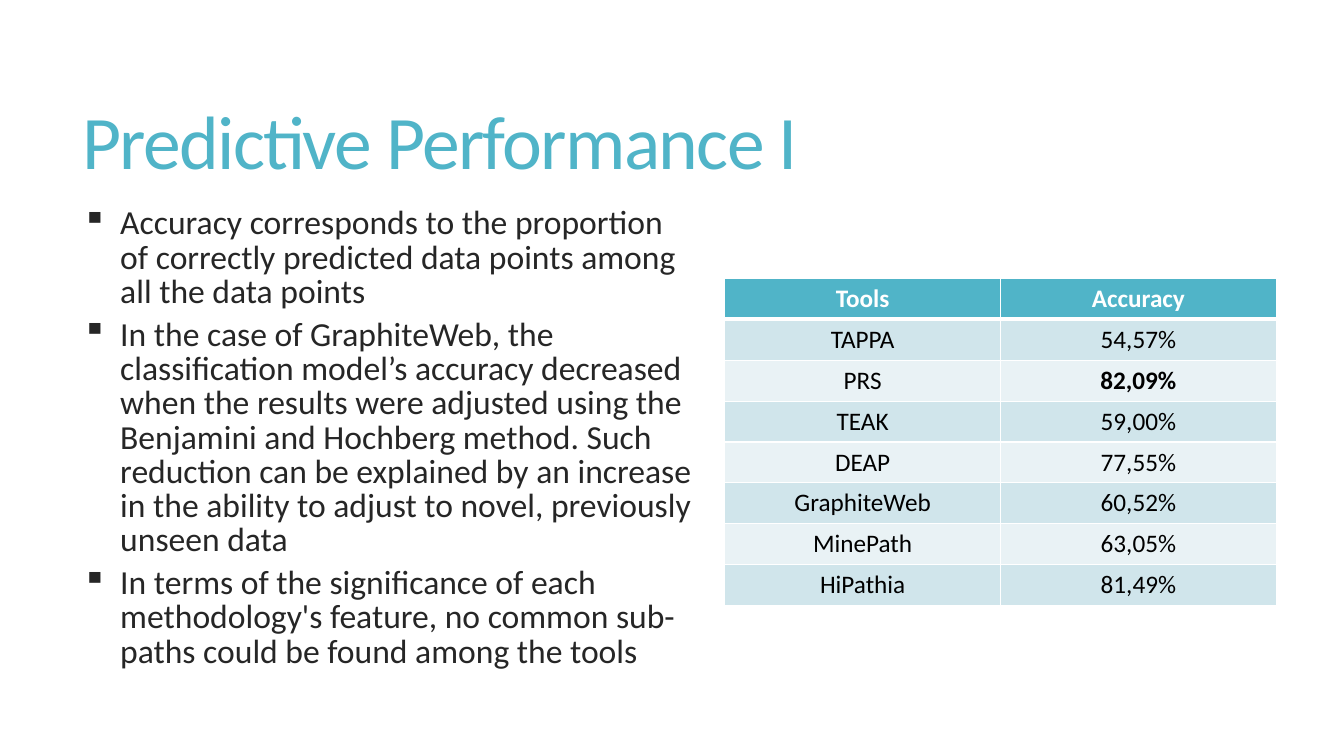
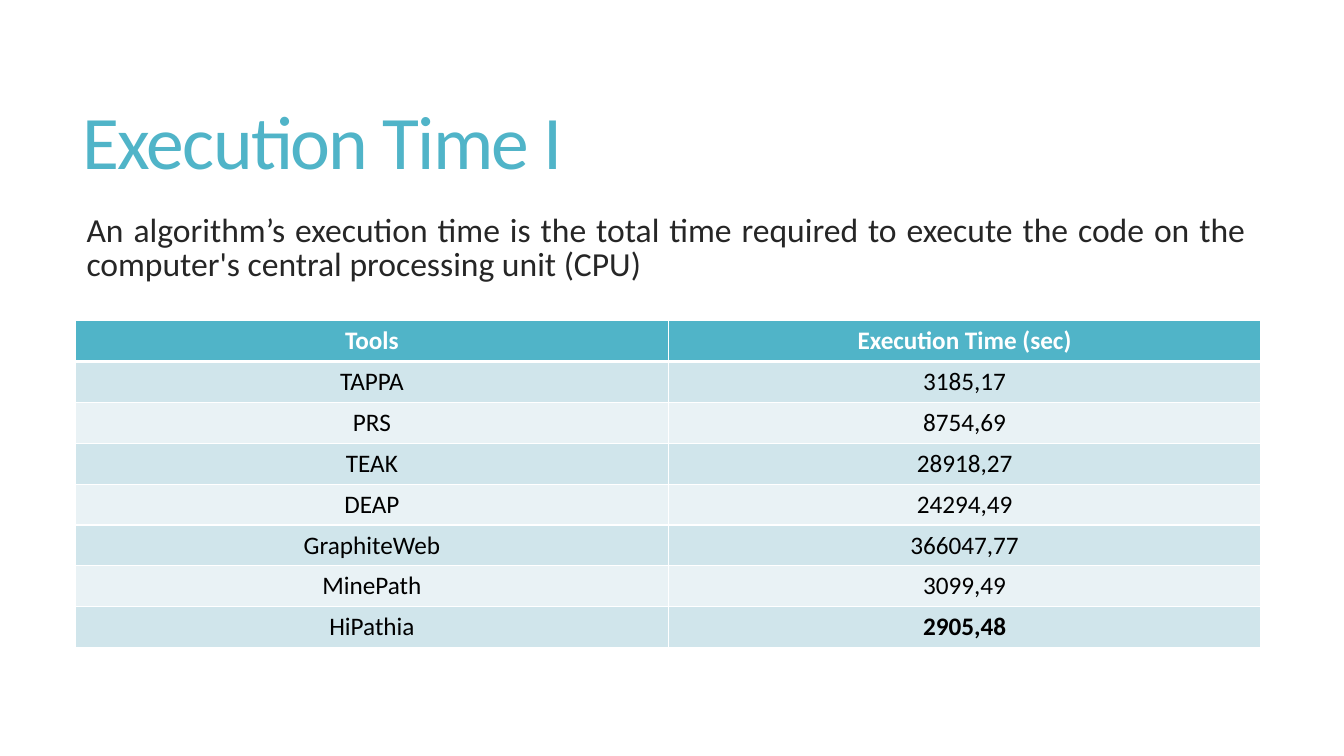
from dataclasses import dataclass
from typing import Any

from lxml import etree
from pptx import Presentation
from pptx import slide as sl
from pptx import table as tb
from pptx import util as u
from pptx.dml.color import RGBColor
from pptx.enum import text
from pptx.oxml import ns
from pptx.text import text as tx


@dataclass(frozen=True)
class Theme:
    font: str = "Calibri"
    accent: str = "50B4C8"
    body: str = "262626"
    cell: str = "000000"
    white: str = "FFFFFF"
    bands: tuple[str, str] = ("D0E5EB", "E9F2F5")
    title_size: float = 54
    body_size: float = 24
    cell_size: float = 18
    line_spacing: float = 0.85
    title_tracking: float = -1.2
    rule: float = 1
    header_rule: float = 3


@dataclass(frozen=True)
class Box:
    left: float
    top: float
    width: float
    height: float

    def lengths(self) -> tuple[u.Length, ...]:
        return tuple(u.Pt(value) for value in (self.left, self.top, self.width, self.height))


@dataclass(frozen=True)
class ResultSlide:
    title: str
    measure: str
    values: tuple[str, ...]
    best: str
    table_box: Box
    body: tuple[str, ...]
    body_box: Box
    bullet: str
    indent: float
    alignment: text.PP_ALIGN


THEME = Theme()
TITLE_BOX = Box(51.8, 39.6, 848.2, 130.3)
TOOLS = ("TAPPA", "PRS", "TEAK", "DEAP", "GraphiteWeb", "MinePath", "HiPathia")
TABLE_HEIGHT = 233.6

SLIDES = (
    ResultSlide(
        title="Predictive Performance I",
        measure="Accuracy",
        values=("54,57%", "82,09%", "59,00%", "77,55%", "60,52%", "63,05%", "81,49%"),
        best="PRS",
        table_box=Box(517.7, 198.9, 394, TABLE_HEIGHT),
        body=(
            "Accuracy corresponds to the proportion of correctly predicted data points "
            "among all the data points",
            "In the case of GraphiteWeb, the classification model’s accuracy decreased when "
            "the results were adjusted using the Benjamini and Hochberg method. Such "
            "reduction can be explained by an increase in the ability to adjust to novel, "
            "previously unseen data",
            "In terms of the significance of each methodology's feature, no common "
            "sub-paths could be found among the tools",
        ),
        body_box=Box(51.8, 144.7, 452.9, 340.6),
        bullet="▪",
        indent=27,
        alignment=text.PP_ALIGN.LEFT,
    ),
    ResultSlide(
        title="Execution Time I",
        measure="Execution Time (sec)",
        values=("3185,17", "8754,69", "28918,27", "24294,49", "366047,77", "3099,49", "2905,48"),
        best="HiPathia",
        table_box=Box(54, 229, 846.7, TABLE_HEIGHT),
        body=(
            "An algorithm’s execution time is the total time required to execute the code "
            "on the computer's central processing unit (CPU)",
        ),
        body_box=Box(54, 149.8, 843.1, 56.9),
        bullet="",
        indent=0.7,
        alignment=text.PP_ALIGN.JUSTIFY,
    ),
)


def apply(target: Any, values: dict[str, Any]) -> None:
    for name, value in values.items():
        setattr(target, name, value)


def write(
    paragraph: tx._Paragraph,
    content: str,
    size: float,
    color: str,
    bold: bool = False,
    **paragraph_format: Any,
) -> tx._Run:
    apply(paragraph, paragraph_format)
    run = paragraph.add_run()
    run.text = content
    apply(run.font, {"name": THEME.font, "size": u.Pt(size), "bold": bold})
    run.font.color.rgb = RGBColor.from_string(color)
    return run


def add_title(slide: sl.Slide, title: str) -> None:
    shape = slide.shapes.title
    apply(shape, dict(zip(("left", "top", "width", "height"), TITLE_BOX.lengths())))
    apply(shape.text_frame, {
        "word_wrap": True,
        "auto_size": text.MSO_AUTO_SIZE.NONE,
        "vertical_anchor": text.MSO_ANCHOR.MIDDLE,
    })
    run = write(
        shape.text_frame.paragraphs[0], title, THEME.title_size, THEME.accent,
        alignment=text.PP_ALIGN.LEFT, line_spacing=THEME.line_spacing,
    )
    run.font._element.set("spc", str(round(THEME.title_tracking * 100)))


def set_borders(cell: tb._Cell, top: float, bottom: float) -> None:
    properties = cell._tc.get_or_add_tcPr()
    widths = {"lnL": THEME.rule, "lnR": THEME.rule, "lnT": top, "lnB": bottom}
    for position, (side, width) in enumerate(widths.items()):
        line = etree.Element(ns.qn(f"a:{side}"), w=str(u.Pt(width)))
        fill = etree.SubElement(line, ns.qn("a:solidFill"))
        etree.SubElement(fill, ns.qn("a:srgbClr"), val=THEME.white)
        properties.insert(position, line)


def add_results(slide: sl.Slide, content: ResultSlide) -> None:
    rows = (("Tools", content.measure), *zip(TOOLS, content.values))
    table = slide.shapes.add_table(len(rows), 2, *content.table_box.lengths()).table
    for row_index, row in enumerate(rows):
        header = row_index == 0
        fill = THEME.accent if header else THEME.bands[(row_index - 1) % 2]
        for column_index, value in enumerate(row):
            cell = table.cell(row_index, column_index)
            cell.vertical_anchor = text.MSO_ANCHOR.MIDDLE
            cell.fill.solid()
            cell.fill.fore_color.rgb = RGBColor.from_string(fill)
            set_borders(
                cell,
                top=THEME.header_rule if row_index == 1 else THEME.rule,
                bottom=THEME.header_rule if header else THEME.rule,
            )
            write(
                cell.text_frame.paragraphs[0], value, THEME.cell_size,
                THEME.white if header else THEME.cell,
                bold=header or (column_index == 1 and row[0] == content.best),
                alignment=text.PP_ALIGN.CENTER,
            )


def set_indent(paragraph: tx._Paragraph, indent: float, bullet: str) -> None:
    properties = paragraph._p.get_or_add_pPr()
    properties.set("marL", str(u.Pt(indent)))
    properties.set("indent", str(-u.Pt(indent) if bullet else 0))
    if bullet:
        etree.SubElement(properties, ns.qn("a:buChar"), char=bullet)


def add_body(slide: sl.Slide, content: ResultSlide) -> None:
    frame = slide.shapes.add_textbox(*content.body_box.lengths()).text_frame
    apply(frame, {"word_wrap": True, "auto_size": text.MSO_AUTO_SIZE.SHAPE_TO_FIT_TEXT})
    for index, statement in enumerate(content.body):
        paragraph = frame.add_paragraph() if index else frame.paragraphs[0]
        write(
            paragraph, statement, THEME.body_size, THEME.body,
            alignment=content.alignment, level=1,
            line_spacing=THEME.line_spacing, space_before=u.Pt(6),
        )
        set_indent(paragraph, content.indent, content.bullet)


def main() -> None:
    presentation = Presentation()
    apply(presentation, {"slide_width": u.Pt(960), "slide_height": u.Pt(540)})
    title_only = presentation.slide_layouts.get_by_name("Title Only")
    for content in SLIDES:
        slide = presentation.slides.add_slide(title_only)
        add_title(slide, content.title)
        add_results(slide, content)
        add_body(slide, content)
    presentation.save("out.pptx")


if __name__ == "__main__":
    main()
